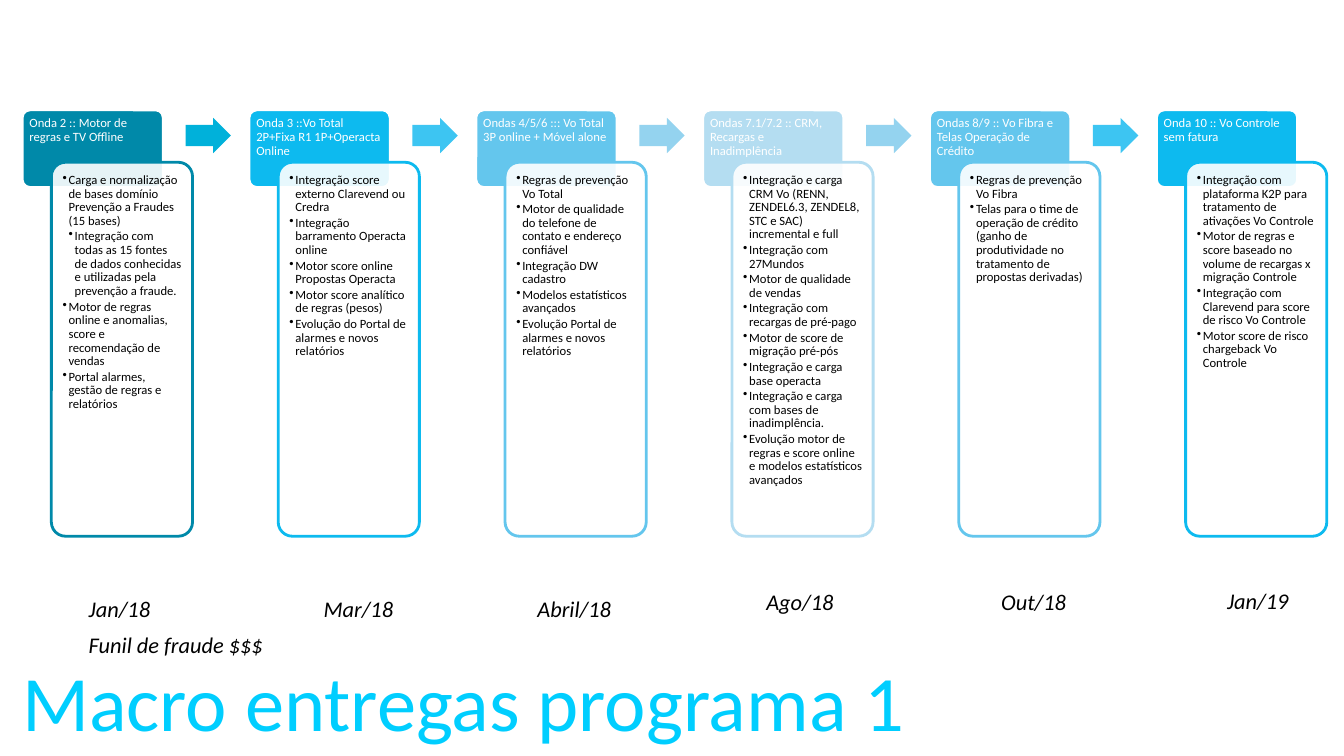
from dataclasses import dataclass

from lxml import etree
from pptx import Presentation
from pptx.dml.color import RGBColor
from pptx.enum.shapes import MSO_SHAPE
from pptx.enum.text import MSO_ANCHOR, MSO_AUTO_SIZE, PP_ALIGN
from pptx.oxml.ns import qn
from pptx.util import Inches, Pt

ROUNDED = MSO_SHAPE.ROUNDED_RECTANGLE
ARROW = MSO_SHAPE.RIGHT_ARROW
TOP = MSO_ANCHOR.TOP
LEFT = PP_ALIGN.LEFT
NO_FIT = MSO_AUTO_SIZE.NONE
TITLE_ONLY = 5


@dataclass(frozen=True)
class Theme:
    font: str = "Calibri"
    title: str = "00CEFF"
    white: str = "FFFFFF"
    black: str = "000000"
    teal: str = "0089A9"
    bright: str = "0DBAEF"
    sky: str = "64C6ED"
    pale: str = "B4DDF1"
    arrow_teal: str = "00B1DA"
    arrow_bright: str = "3DC5F2"
    arrow_pale: str = "94D3EF"
    title_size: int = 56
    date_size: int = 16
    card_size: int = 9


THEME = Theme()
FIRST_LEFT = 0.22
STEP = 2.25
CARD_WIDTH = 1.4

WAVES = [
    ("Onda 2 :: Motor de regras e TV Offline", THEME.teal, THEME.arrow_teal, [
        (1, "Carga e normalização de bases domínio Prevenção a Fraudes (15 bases)"),
        (2, "Integração com todas as 15 fontes de dados conhecidas e utilizadas pela prevenção a fraude."),
        (1, "Motor de regras online e anomalias, score e recomendação de vendas"),
        (1, "Portal alarmes, gestão de regras e relatórios"),
    ]),
    ("Onda 3 ::Vo Total 2P+Fixa R1 1P+Operacta Online", THEME.bright, THEME.arrow_bright, [
        (1, "Integração score externo Clarevend ou Credra"),
        (1, "Integração barramento Operacta online"),
        (1, "Motor score online Propostas Operacta"),
        (1, "Motor score analítico de regras (pesos)"),
        (1, "Evolução do Portal de alarmes e novos relatórios"),
    ]),
    ("Ondas 4/5/6 ::: Vo Total 3P online + Móvel alone", THEME.sky, THEME.arrow_pale, [
        (1, "Regras de prevenção Vo Total"),
        (1, "Motor de qualidade do telefone de contato e endereço confiável"),
        (1, "Integração DW cadastro"),
        (1, "Modelos estatísticos avançados"),
        (1, "Evolução Portal de alarmes e novos relatórios"),
    ]),
    ("Ondas 7.1/7.2 :: CRM, Recargas e Inadimplência", THEME.pale, THEME.arrow_pale, [
        (1, "Integração e carga CRM Vo (RENN, ZENDEL6.3, ZENDEL8, STC e SAC) incremental e full"),
        (1, "Integração com 27Mundos"),
        (1, "Motor de qualidade de vendas"),
        (1, "Integração com recargas de pré-pago"),
        (1, "Motor de score de migração pré-pós"),
        (1, "Integração e carga base operacta"),
        (1, "Integração e carga com bases de inadimplência."),
        (1, "Evolução motor de regras e score online e modelos estatísticos avançados"),
    ]),
    ("Ondas 8/9 :: Vo Fibra e Telas Operação de Crédito", THEME.sky, THEME.arrow_bright, [
        (1, "Regras de prevenção Vo Fibra"),
        (1, "Telas para o time de operação de crédito (ganho de produtividade no tratamento de propostas derivadas)"),
    ]),
    ("Onda 10 :: Vo Controle sem fatura", THEME.bright, None, [
        (1, "Integração com plataforma K2P para tratamento de ativações Vo Controle"),
        (1, "Motor de regras e score baseado no volume de recargas x migração Controle"),
        (1, "Integração com Clarevend para score de risco Vo Controle"),
        (1, "Motor score de risco chargeback Vo Controle"),
    ]),
]

DATES = [
    (0.88, 5.92, ["Jan/18", "Funil de fraude $$$"]),
    (3.21, 5.92, ["Mar/18"]),
    (5.33, 5.92, ["Abril/18"]),
    (7.6, 5.85, ["Ago/18"]),
    (9.93, 5.85, ["Out/18"]),
    (12.17, 5.84, ["Jan/19"]),
]


def color(value):
    return RGBColor.from_string(value)


def add_span(para, text, size, fill, italic=False):
    span = para.add_run()
    span.text = text
    span.font.name = THEME.font
    span.font.size = Pt(size)
    span.font.italic = italic
    span.font.color.rgb = color(fill)


def prepare_frame(box, margins, wrap=True):
    frame = box.text_frame
    frame.auto_size = NO_FIT
    frame.word_wrap = wrap
    frame.vertical_anchor = TOP
    left, top, right, bottom = (Inches(margin) for margin in margins)
    frame.margin_left, frame.margin_top = left, top
    frame.margin_right, frame.margin_bottom = right, bottom
    return frame


def add_paras(frame, count):
    return [frame.paragraphs[0]] + [frame.add_paragraph() for _ in range(count - 1)]


def add_block(page, kind, left, top, width, height, adjustments, fill, line=None):
    block = page.shapes.add_shape(
        kind, Inches(left), Inches(top), Inches(width), Inches(height))
    for index, value in enumerate(adjustments):
        block.adjustments[index] = value
    block.shadow.inherit = False
    block.fill.solid()
    block.fill.fore_color.rgb = color(fill)
    if line:
        block.line.color.rgb = color(line)
        block.line.width = Pt(2)
    else:
        block.line.fill.background()
    return block


def set_opacity(block, percent):
    fill = block.fill._xPr.find(qn("a:solidFill"))
    etree.SubElement(fill[0], qn("a:alpha"), val=str(percent * 1000))


def set_bullet(para, level):
    para.level = level
    props = para._p.get_or_add_pPr()
    hang = Inches(0.06)
    props.set("marL", str(hang * level))
    props.set("indent", str(-hang))
    etree.SubElement(props, qn("a:buChar"), char="•")


def add_header(page, left, text, fill):
    header = add_block(page, ROUNDED, left, 1.09, CARD_WIDTH, 0.77, [0.1], fill, THEME.white)
    para = prepare_frame(header, (0.05, 0.05, 0.05, 0.04)).paragraphs[0]
    para.alignment = LEFT
    para.line_spacing = 0.9
    add_span(para, text, THEME.card_size, THEME.white)


def add_deliveries(page, left, items, line):
    card = add_block(page, ROUNDED, left, 1.61, CARD_WIDTH, 3.71, [0.1], THEME.white, line)
    set_opacity(card, 90)
    frame = prepare_frame(card, (0.07, 0.07, 0.07, 0.07))
    for para, (level, text) in zip(add_paras(frame, len(items)), items):
        set_bullet(para, level)
        para.alignment = LEFT
        para.line_spacing = 0.9
        para.space_after = Pt(1.35)
        add_span(para, text, THEME.card_size, THEME.black)


def add_date(page, left, top, lines):
    box = page.shapes.add_textbox(Inches(left), Inches(top), Inches(0.52), Inches(0.35))
    frame = prepare_frame(box, (0, 0, 0, 0), wrap=False)
    for index, (para, text) in enumerate(zip(add_paras(frame, len(lines)), lines)):
        para.alignment = LEFT
        para.line_spacing = Pt(18)
        para.space_before = Pt(8 if index else 0)
        add_span(para, text, THEME.date_size, THEME.black, italic=True)


def set_title(page, text):
    title = page.shapes.title
    title.left, title.top = Inches(0.22), Inches(6.48)
    title.width, title.height = Inches(12), Inches(0.97)
    para = prepare_frame(title, (0, 0, 0, 0)).paragraphs[0]
    para.alignment = LEFT
    add_span(para, text, THEME.title_size, THEME.title)


def main():
    deck = Presentation()
    deck.slide_width, deck.slide_height = Inches(13.33), Inches(7.5)
    page = deck.slides.add_slide(deck.slide_layouts[TITLE_ONLY])
    set_title(page, "Macro entregas programa 1")
    for index, (heading, accent, arrow_fill, items) in enumerate(WAVES):
        left = FIRST_LEFT + index * STEP
        add_header(page, left, heading, accent)
        add_deliveries(page, left + 0.29, items, accent)
        if arrow_fill:
            add_block(page, ARROW, left + 1.62, 1.17, 0.45, 0.35, [0.6, 0.5], arrow_fill)
    for left, top, lines in DATES:
        add_date(page, left, top, lines)
    deck.save("out.pptx")


if __name__ == "__main__":
    main()
